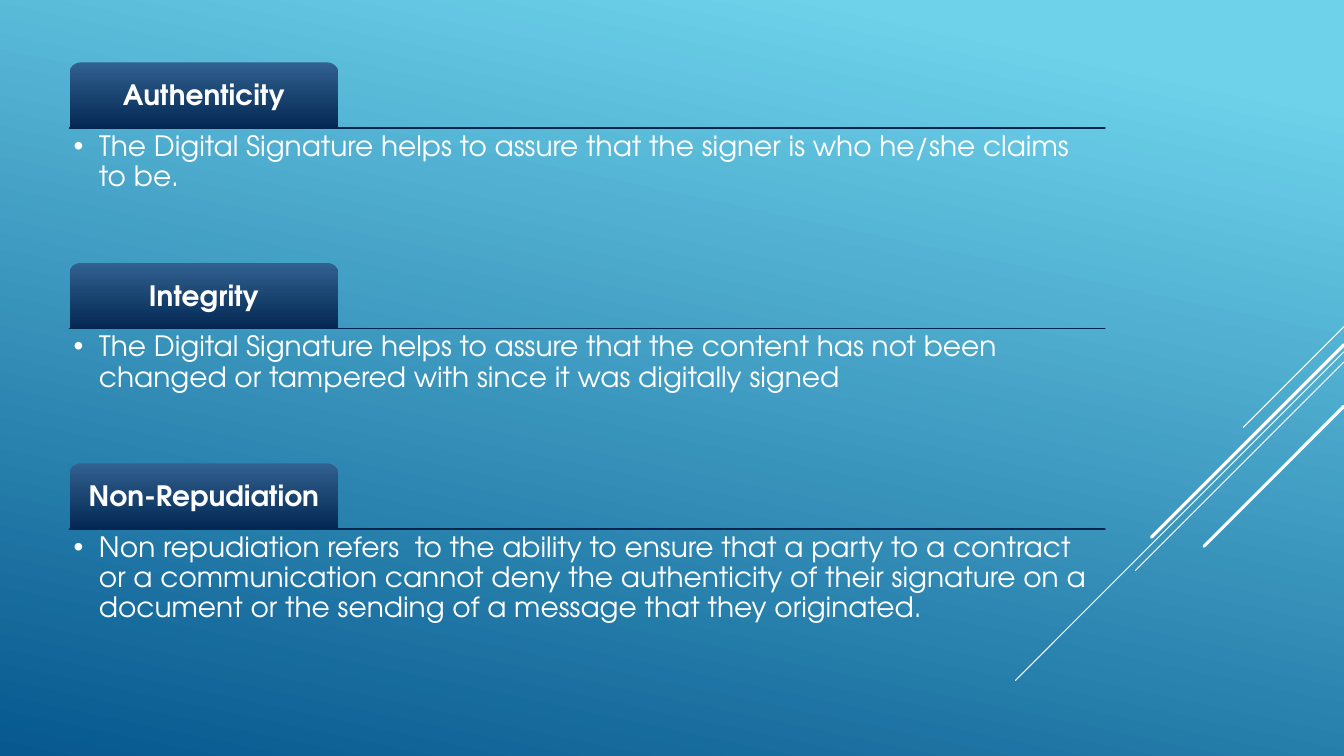
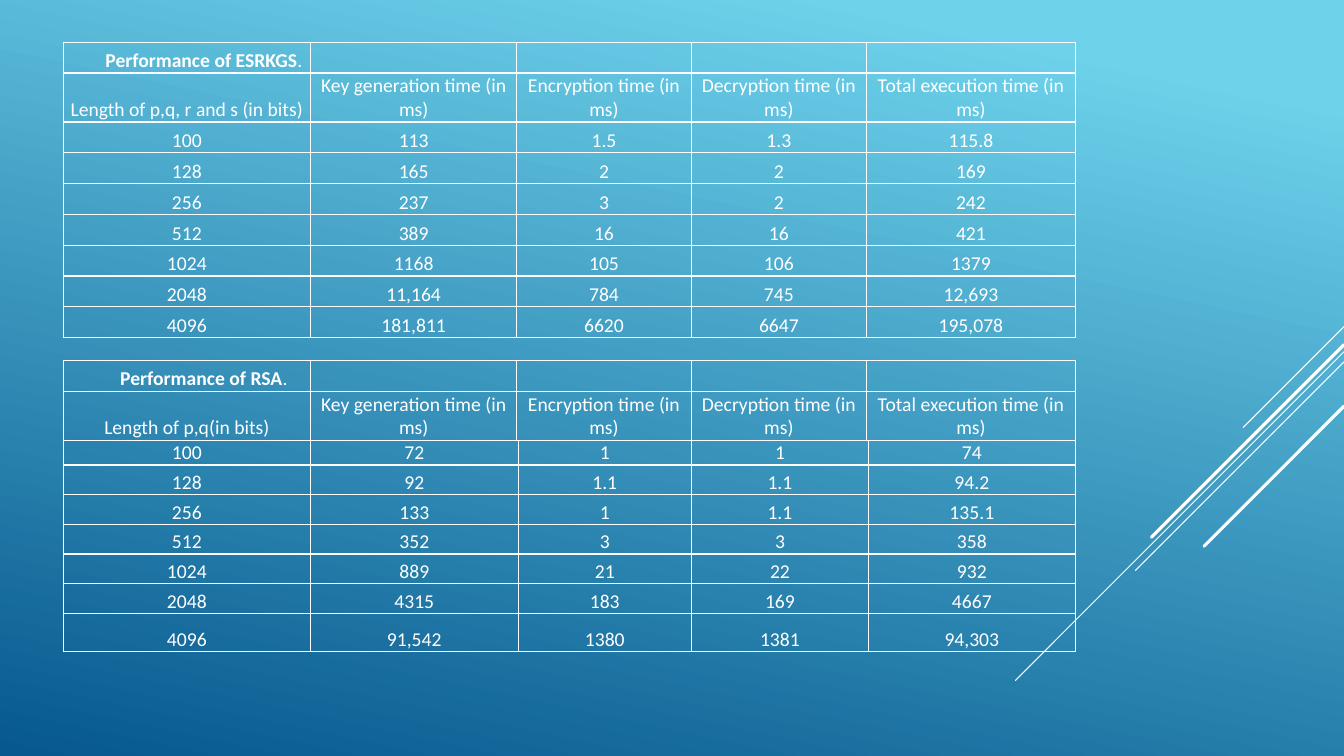
from lxml.etree import SubElement
from pptx import Presentation
from pptx.dml.color import RGBColor
from pptx.enum.shapes import MSO_CONNECTOR, MSO_SHAPE
from pptx.enum.text import MSO_ANCHOR, PP_ALIGN
from pptx.oxml.ns import qn
from pptx.util import Pt

COLORS = {
    "white": "FFFFFF",
    "sky": "6ED2EB",
    "ocean": "06588E",
    "tab_top": "316190",
    "tab_bottom": "042853",
    "rule": "04264E",
}
SLIDE_WIDTH, SLIDE_HEIGHT = 960, 540

HEADING = {"name": "TeX Gyre Adventor", "size": Pt(20), "bold": True}
BODY = HEADING | {"bold": False}
CELL = {"name": "Calibri", "size": Pt(14), "bold": False}
CELL_TITLE = CELL | {"bold": True}

# Each ray leaves the right edge at 45 degrees: start height, run, line width
RAYS = [
    (233.3, 72, 0.75),
    (251.3, 234.7, 0.75),
    (258.5, 149, 0.75),
    (246.2, 137.5, 2.25),
    (290.2, 100, 2.25),
]

PROPERTIES = [
    ("Authenticity",
     "The Digital Signature helps to assure that the signer is who he/she "
     "claims to be."),
    ("Integrity",
     "The Digital Signature helps to assure that the content has not been "
     "changed or tampered with since it was digitally signed"),
    ("Non-Repudiation",
     "Non repudiation refers  to the ability to ensure that a party to a "
     "contract or a communication cannot deny the authenticity of their "
     "signature on a document or the sending of a message that they "
     "originated."),
]

TIME_HEADINGS = [
    f"{name} time (in ms)"
    for name in ("Key generation", "Encryption", "Decryption", "Total execution")
]
ESRKGS_TIMES = [
    ["100", "113", "1.5", "1.3", "115.8"],
    ["128", "165", "2", "2", "169"],
    ["256", "237", "3", "2", "242"],
    ["512", "389", "16", "16", "421"],
    ["1024", "1168", "105", "106", "1379"],
    ["2048", "11,164", "784", "745", "12,693"],
    ["4096", "181,811", "6620", "6647", "195,078"],
]
RSA_TIMES = [
    ["100", "72", "1", "1", "74"],
    ["128", "92", "1.1", "1.1", "94.2"],
    ["256", "133", "1", "1.1", "135.1"],
    ["512", "352", "3", "3", "358"],
    ["1024", "889", "21", "22", "932"],
    ["2048", "4315", "183", "169", "4667"],
    ["4096", "91,542", "1380", "1381", "94,303"],
]
TABLE_LEFT = 45.2
HEADED_COLUMNS = [176.6, 147.4, 124.5, 125.4, 149]
RSA_COLUMNS = [176.6, 148.3, 123.8, 126.5, 147.7]
ROW_HEIGHT, HEADING_HEIGHT = 22, 35


def color(name):
    return RGBColor.from_string(COLORS[name])


def set_attributes(target, values):
    for name, value in values.items():
        setattr(target, name, value)


def fill_gradient(fill, stops, angle):
    """Fill with two (position, colour) stops; angle runs clockwise."""
    fill.gradient()
    fill.gradient_angle = 360 - angle
    for stop, (position, name) in zip(fill.gradient_stops, stops):
        stop.position = position
        stop.color.rgb = color(name)


def add_run(paragraph, text, font):
    run = paragraph.add_run()
    run.text = text
    set_attributes(run.font, font)
    run.font.color.rgb = color("white")


def add_line(slide, start, end, name, width):
    points = [Pt(value) for value in (*start, *end)]
    connector = slide.shapes.add_connector(MSO_CONNECTOR.STRAIGHT, *points)
    connector.line.color.rgb = color(name)
    connector.line.width = Pt(width)
    properties = connector.element.find(qn("p:spPr"))
    properties.find(qn("a:ln")).set("cap", "rnd")
    SubElement(properties, qn("a:effectLst"))
    return connector


def style_master(master, slide):
    """Give the master the gradient and rays that all slides share."""
    fill_gradient(master.background.fill, [(0.1, "sky"), (1, "ocean")], 102)
    for top, run, width in RAYS:
        ray = add_line(slide, (SLIDE_WIDTH, top),
                       (SLIDE_WIDTH - run, top + run), "white", width)
        master.shapes.element.append(ray.element)


def format_frame(frame, anchor):
    margins = [f"margin_{side}" for side in ("left", "top", "right", "bottom")]
    set_attributes(frame, dict.fromkeys(margins, Pt(3)))
    set_attributes(frame, {"word_wrap": True, "vertical_anchor": anchor})
    paragraph = frame.paragraphs[0]
    paragraph.line_spacing = 0.9
    return paragraph


def add_tab(slide, left, top, width, height, text):
    shape = slide.shapes.add_shape(MSO_SHAPE.ROUND_2_SAME_RECTANGLE,
                                   Pt(left), Pt(top), Pt(width), Pt(height))
    shape.shadow.inherit = False
    shape.line.fill.background()
    fill_gradient(shape.fill, [(0, "tab_top"), (1, "tab_bottom")], 90)
    paragraph = format_frame(shape.text_frame, MSO_ANCHOR.MIDDLE)
    paragraph.alignment = PP_ALIGN.CENTER
    add_run(paragraph, text, HEADING)


def add_bullet(slide, left, top, width, height, text):
    box = slide.shapes.add_textbox(Pt(left), Pt(top), Pt(width), Pt(height))
    paragraph = format_frame(box.text_frame, MSO_ANCHOR.TOP)
    add_run(paragraph, text, BODY)
    properties = paragraph.line_spacing and paragraph._p.get_or_add_pPr()
    properties.set("marL", str(Pt(18)))
    properties.set("indent", str(Pt(-18)))
    SubElement(properties, qn("a:buFont"), typeface="Arial")
    SubElement(properties, qn("a:buChar"), char="•")


def add_properties(slide):
    left, first_rule, pitch, width = 49.7, 91.4, 143.2, 739.5
    tab_width, tab_height, body_height = 192, 46.8, 93.6
    for index, (heading, text) in enumerate(PROPERTIES):
        rule = first_rule + index * pitch
        add_line(slide, (left, rule), (left + width, rule), "rule", 1.25)
        add_tab(slide, left, rule - tab_height, tab_width, tab_height, heading)
        add_bullet(slide, left, rule, width, body_height, text)


def add_borders(cell):
    properties = cell._tc.get_or_add_tcPr()
    for side in ("lnL", "lnR", "lnT", "lnB"):
        line = SubElement(properties, qn(f"a:{side}"), w=str(Pt(1)))
        fill = SubElement(line, qn("a:solidFill"))
        SubElement(fill, qn("a:srgbClr"), val=COLORS["white"])


def format_cell(cell):
    add_borders(cell)
    cell.fill.background()
    set_attributes(cell, {
        "margin_left": Pt(0.7), "margin_right": Pt(0.7),
        "margin_top": Pt(0.7), "margin_bottom": 0,
        "vertical_anchor": MSO_ANCHOR.BOTTOM,
    })
    paragraph = cell.text_frame.paragraphs[0]
    paragraph.alignment = PP_ALIGN.CENTER
    return paragraph


def add_table(slide, top, columns, heights, rows):
    shape = slide.shapes.add_table(
        len(rows), len(columns), Pt(TABLE_LEFT), Pt(top),
        Pt(sum(columns)), Pt(sum(heights)))
    table = shape.table
    set_attributes(table, {"first_row": False, "horz_banding": False})
    for column, width in zip(table.columns, columns):
        column.width = Pt(width)
    for row, height, texts in zip(table.rows, heights, rows):
        row.height = Pt(height)
        for cell, text in zip(row.cells, texts):
            paragraph = format_cell(cell)
            if text:
                add_run(paragraph, text, CELL)
            else:
                SubElement(paragraph._p, qn("a:endParaRPr"), sz="1400")
    return table


def add_headed_table(slide, top, title, length_heading, times):
    """Add a table with a title row and a row of column headings."""
    rows = [[""] * len(HEADED_COLUMNS), [length_heading, *TIME_HEADINGS], *times]
    heights = [ROW_HEIGHT, HEADING_HEIGHT] + [ROW_HEIGHT] * len(times)
    table = add_table(slide, top, HEADED_COLUMNS, heights, rows)
    cell = table.cell(0, 0)
    cell.margin_left = Pt(25)
    paragraph = cell.text_frame.paragraphs[0]
    paragraph.clear()
    for end_mark in paragraph._p.findall(qn("a:endParaRPr")):
        paragraph._p.remove(end_mark)
    add_run(paragraph, title, CELL_TITLE)
    add_run(paragraph, ".", CELL)


def add_performance(slide):
    rsa_top = 257.4
    add_headed_table(slide, 30.2, "Performance of ESRKGS",
                     "Length of p,q, r and s (in bits)", ESRKGS_TIMES)
    add_headed_table(slide, rsa_top, "Performance of RSA",
                     "Length of p,q(in bits)", [])
    add_table(slide, rsa_top + ROW_HEIGHT + HEADING_HEIGHT, RSA_COLUMNS,
              [17] + [21.2] * 5 + [27.5], RSA_TIMES)


def main():
    presentation = Presentation()
    set_attributes(presentation, {"slide_width": Pt(SLIDE_WIDTH),
                                  "slide_height": Pt(SLIDE_HEIGHT)})
    blank = presentation.slide_layouts[6]
    slides = [presentation.slides.add_slide(blank) for _ in range(2)]
    style_master(presentation.slide_master, slides[0])
    add_properties(slides[0])
    add_performance(slides[1])
    presentation.save("out.pptx")


if __name__ == "__main__":
    main()
